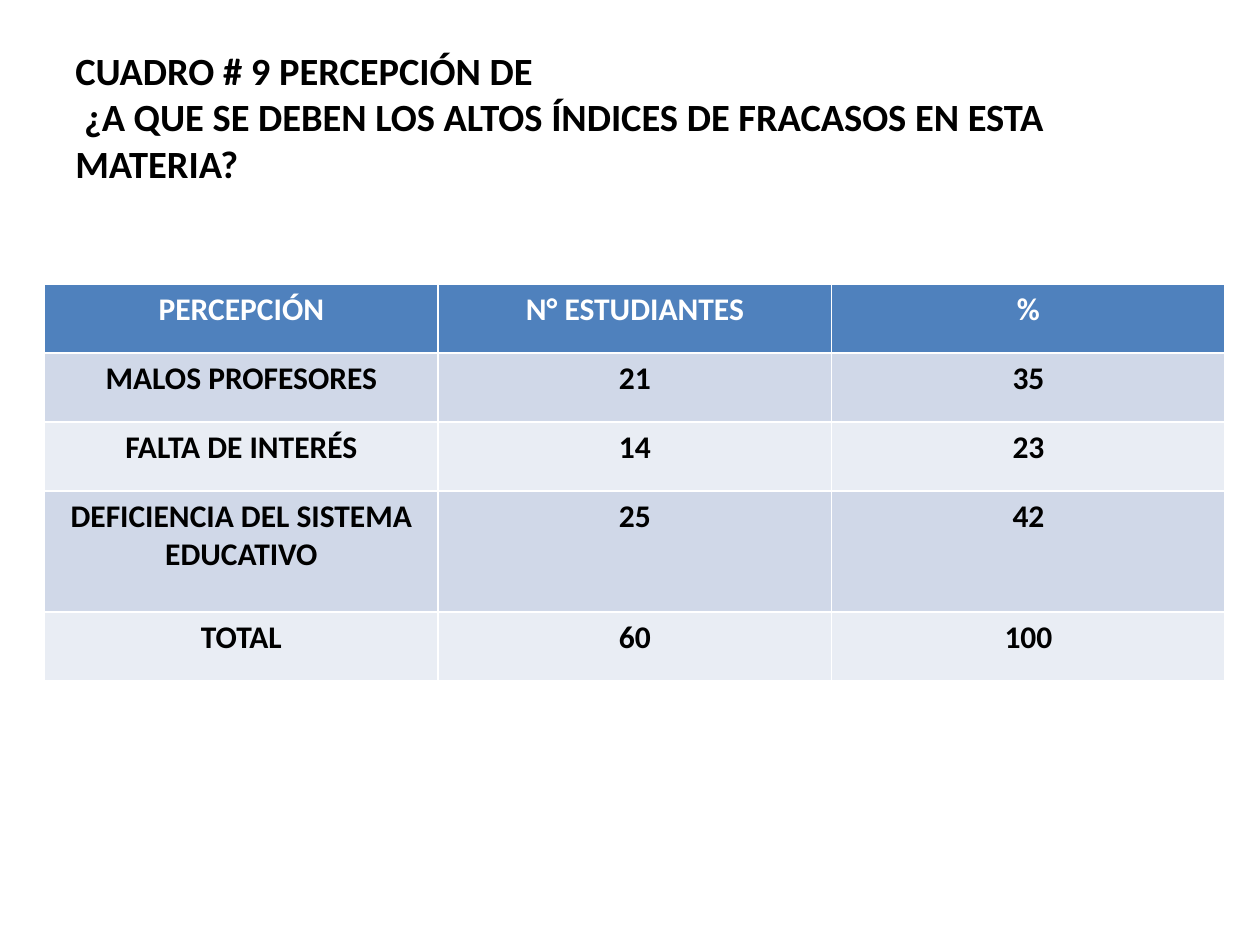
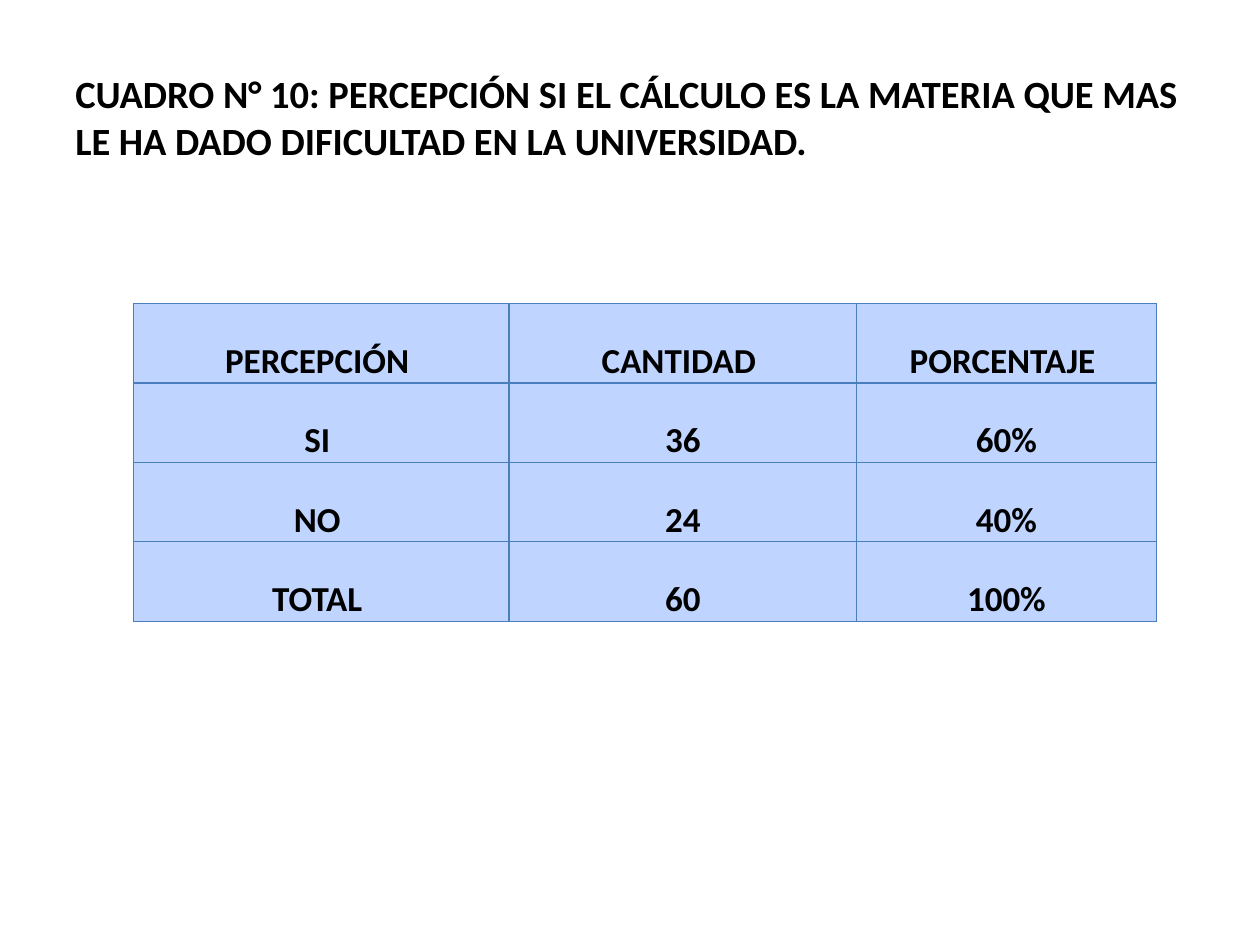
from lxml.etree import SubElement
from pptx import Presentation
from pptx.dml.color import RGBColor
from pptx.enum.text import MSO_ANCHOR, PP_ALIGN
from pptx.oxml.ns import qn
from pptx.util import Cm, Pt

FONT = "Calibri"
BLACK = RGBColor(0x00, 0x00, 0x00)
WHITE = RGBColor(0xFF, 0xFF, 0xFF)
HEADER_BLUE = RGBColor(0x4F, 0x81, 0xBD)
BAND_DARK = RGBColor(0xD0, 0xD8, 0xE8)
BAND_LIGHT = RGBColor(0xE9, 0xED, 0xF4)
SKY_BLUE = RGBColor(0xBF, 0xD4, 0xFF)
GRID_BLUE = RGBColor(0x4B, 0x7E, 0xBC)

TITLE_BOX = (1.27, 0.76, 22.86, 3.18)

CAUSES_TITLE = ("CUADRO # 9 PERCEPCIÓN DE \v ¿A QUE SE DEBEN LOS ALTOS ÍNDICES "
                "DE FRACASOS EN ESTA MATERIA?")
CAUSES = [
    ("PERCEPCIÓN", "N° ESTUDIANTES", "%"),
    ("MALOS PROFESORES", "21", "35"),
    ("FALTA DE INTERÉS", "14", "23"),
    ("DEFICIENCIA DEL SISTEMA EDUCATIVO", "25", "42"),
    ("TOTAL", "60", "100"),
]
DIFFICULTY_TITLE = ("CUADRO N° 10: PERCEPCIÓN SI EL CÁLCULO ES LA MATERIA QUE MAS "
                    "LE HA DADO DIFICULTAD EN LA UNIVERSIDAD.")
DIFFICULTY = [
    ("PERCEPCIÓN ", "CANTIDAD ", "PORCENTAJE "),
    ("SI ", "36", "60%"),
    ("NO ", "24", "40%"),
    ("TOTAL ", "60", "100%"),
]


def write(frame, text, size, color=BLACK, align=PP_ALIGN.LEFT):
    """Put bold text into a text frame with the given format."""
    frame.word_wrap = True
    paragraph = frame.paragraphs[0]
    paragraph.text = text
    paragraph.alignment = align
    for run in paragraph.runs:
        run.font.name = FONT
        run.font.size = Pt(size)
        run.font.bold = True
        run.font.color.rgb = color


def add_title(slide, text, box=TITLE_BOX):
    """Add the slide title, centred vertically in its box."""
    title = slide.shapes.add_textbox(*map(Cm, box))
    title.text_frame.vertical_anchor = MSO_ANCHOR.MIDDLE
    write(title.text_frame, text, 22)


def set_borders(cell, color, width):
    """Draw the four sides of a cell; its fill must be set afterwards."""
    properties = cell._tc.get_or_add_tcPr()
    for side in ("a:lnL", "a:lnR", "a:lnT", "a:lnB"):
        line = SubElement(properties, qn(side), w=str(Pt(width)))
        fill = SubElement(line, qn("a:solidFill"))
        SubElement(fill, qn("a:srgbClr"), val=str(color))


def add_grid(slide, rows, box, columns, heights, size, border, width, look,
             anchor=MSO_ANCHOR.TOP, margin=None):
    """Add a table in the box; look(row) gives the fill and text colours."""
    grid = slide.shapes.add_table(len(rows), len(columns), *map(Cm, box)).table
    grid.first_row = grid.horz_banding = False
    for column, column_width in zip(grid.columns, columns):
        column.width = Cm(column_width)
    for row, height in zip(grid.rows, heights):
        row.height = Cm(height)
    for r, values in enumerate(rows):
        background, ink = look(r)
        for c, value in enumerate(values):
            cell = grid.cell(r, c)
            set_borders(cell, border, width)
            cell.fill.solid()
            cell.fill.fore_color.rgb = background
            cell.vertical_anchor = anchor
            if margin is not None:
                cell.margin_left = cell.margin_right = margin
                cell.margin_top = cell.margin_bottom = margin
            write(cell.text_frame, value, size, color=ink, align=PP_ALIGN.CENTER)


def banded_look(row):
    """Give the header colours, then alternate the two bands."""
    if row == 0:
        return HEADER_BLUE, WHITE
    return (BAND_DARK if row % 2 else BAND_LIGHT), BLACK


def plain_look(row):
    """Give every row the same colours."""
    return SKY_BLUE, BLACK


def add_causes_slide(slide, box=(0.9, 5.73, 23.8, 8)):
    """Build the slide on the causes of failure."""
    add_title(slide, CAUSES_TITLE)
    add_grid(slide, CAUSES, box, columns=[box[2] / 3] * 3,
             heights=[1.39, 1.39, 1.39, 2.44, 1.39], size=18,
             border=WHITE, width=1, look=banded_look)


def add_difficulty_slide(slide, box=(2.69, 6.12, 20.62, 6.4)):
    """Build the slide on the difficulty of calculus."""
    add_title(slide, DIFFICULTY_TITLE)
    add_grid(slide, DIFFICULTY, box, columns=[7.57, 7.01, 6.04],
             heights=[box[3] / 4] * 4, size=20, border=GRID_BLUE, width=0.75,
             look=plain_look, anchor=MSO_ANCHOR.BOTTOM, margin=0)


def main():
    """Build and save the presentation."""
    deck = Presentation()
    deck.slide_width, deck.slide_height = Cm(25.4), Cm(19.05)
    for build in (add_causes_slide, add_difficulty_slide):
        build(deck.slides.add_slide(deck.slide_layouts[6]))
    deck.save("out.pptx")


if __name__ == "__main__":
    main()
